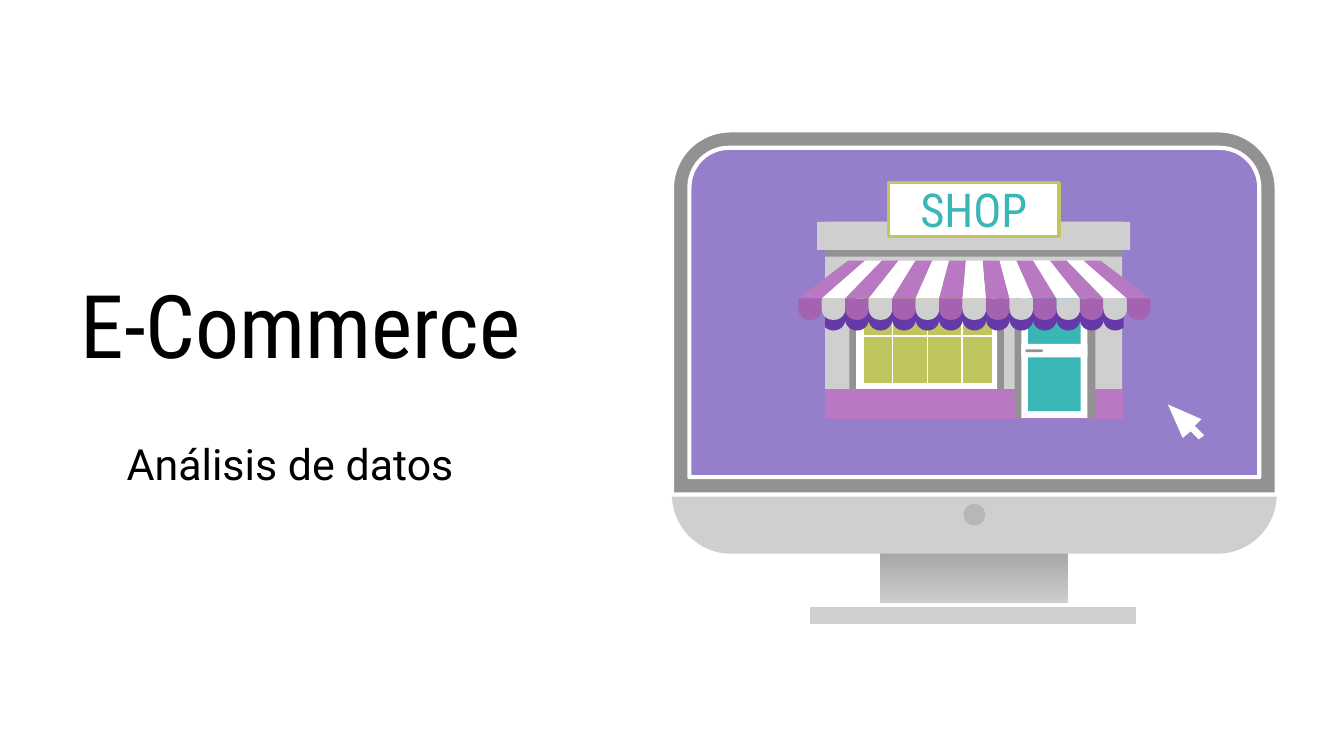
import math

import pptx
import pptx.dml.color
import pptx.enum.shapes
import pptx.enum.text
import pptx.util
from lxml import etree
from pptx.util import Inches

SHAPES = pptx.enum.shapes.MSO_SHAPE
ALIGN = pptx.enum.text.PP_ALIGN
GREY, DARK_GREY, WHITE = "CFCFCF", "929292", "FFFFFF"
PURPLE, ORCHID, PLUM, VIOLET = "957FCA", "B878C2", "A562B0", "6639A8"
OLIVE, TEAL = "C0C55F", "39B6B5"


def color(value):
    return pptx.dml.color.RGBColor.from_string(value)


def paint(shape, fill, line=None, line_width=2.25):
    shape.shadow.inherit = False
    shape.fill.solid()
    shape.fill.fore_color.rgb = color(fill)
    if line:
        shape.line.color.rgb = color(line)
        shape.line.width = pptx.util.Pt(line_width)
    else:
        shape.line.fill.background()


def add_block(slide, box, fill, kind=SHAPES.RECTANGLE, corners=(), **line):
    shape = slide.shapes.add_shape(kind, *map(Inches, box))
    for index, corner in enumerate(corners):
        shape.adjustments[index] = corner
    paint(shape, fill, **line)
    return shape


def add_polygon(slide, points, fill):
    corners = [(Inches(x), Inches(y)) for x, y in points]
    builder = slide.shapes.build_freeform(*corners[0])
    builder.add_line_segments(corners[1:], close=True)
    paint(builder.convert_to_shape(), fill)


def add_line(slide, x1, y1, x2, y2):
    line = slide.shapes.add_connector(
        pptx.enum.shapes.MSO_CONNECTOR.STRAIGHT, *map(Inches, (x1, y1, x2, y2)))
    line.line.color.rgb = color(WHITE)
    line.line.width = pptx.util.Pt(0.85)
    etree.SubElement(line._element.spPr, pptx.oxml.ns.qn("a:effectLst"))


def set_text(shape, box, text, size, font, fill, align):
    shape.left, shape.top, shape.width, shape.height = map(Inches, box)
    frame = shape.text_frame
    frame.word_wrap = True
    frame.auto_size = pptx.enum.text.MSO_AUTO_SIZE.NONE
    frame.vertical_anchor = pptx.enum.text.MSO_ANCHOR.MIDDLE
    frame.margin_left = frame.margin_right = Inches(0.1)
    frame.margin_top = frame.margin_bottom = Inches(0.1)
    frame.text = text
    paragraph = frame.paragraphs[0]
    paragraph.alignment = align
    paragraph.font.size = pptx.util.Pt(size)
    paragraph.font.name = font
    paragraph.font.color.rgb = color(fill)


def add_label(slide, box, *style):
    set_text(slide.shapes.add_textbox(*map(Inches, box)), box, *style)


def add_monitor(slide):
    # Stand and foot
    stand = add_block(slide, (6.55, 3.91, 1.4, 0.73), GREY)
    stand.fill.gradient()
    stand.fill.gradient_angle = 270
    for stop, value in zip(stand.fill.gradient_stops, ("919191", "DDDDDD")):
        stop.color.rgb = color(value)
    add_block(slide, (6.01, 4.5, 2.46, 0.16), GREY, line=WHITE)
    # Body, bezel, screen and button
    add_block(slide, (5, 0.97, 4.5, 3.15), GREY, SHAPES.ROUNDED_RECTANGLE, (0.14,))
    add_block(slide, (5, 0.97, 4.5, 2.71), DARK_GREY,
              SHAPES.ROUND_2_SAME_RECTANGLE, (0.16, 0), line=WHITE)
    add_block(slide, (5.13, 1.1, 4.24, 2.45), PURPLE,
              SHAPES.ROUND_2_SAME_RECTANGLE, (0.12, 0), line=WHITE)
    add_block(slide, (7.17, 3.75, 0.16, 0.16), "B7B7B7", SHAPES.OVAL)


def add_front(slide):
    # Wall and window
    add_block(slide, (6.14, 1.65, 2.21, 1.46), GREY)
    add_block(slide, (6.32, 2.06, 1.15, 0.89), DARK_GREY)
    add_block(slide, (6.37, 2.11, 1.05, 0.79), WHITE)
    add_block(slide, (6.43, 2.16, 0.95, 0.69), OLIVE)
    add_line(slide, 6.39, 2.5, 7.41, 2.5)
    for x in (6.64, 6.9, 7.16):
        add_line(slide, x, 2.08, x, 2.88)
    # Base and door
    add_block(slide, (6.14, 2.9, 2.21, 0.21), ORCHID, line=ORCHID, line_width=0.75)
    add_block(slide, (7.55, 1.96, 0.6, 1.15), DARK_GREY)
    add_block(slide, (7.6, 1.94, 0.49, 1.17), WHITE)
    add_block(slide, (7.65, 1.99, 0.39, 1.07), TEAL)
    add_awning_shade(slide)
    add_block(slide, (7.6, 2.56, 0.49, 0.1), WHITE)
    add_block(slide, (7.63, 2.6, 0.13, 0.02), DARK_GREY,
              SHAPES.ROUNDED_RECTANGLE, (0.5,))
    # Cornice
    add_block(slide, (6.14, 1.72, 2.21, 0.19), DARK_GREY)
    add_block(slide, (6.08, 1.65, 2.33, 0.21), GREY)


def add_awning_shade(slide, left=6.14, right=8.36, count=13):
    pitch = 2.62 / 15
    points = [(right, 2.3), (left, 2.3)]
    for index in range(count):
        center = 7.25 + (index - (count - 1) / 2) * pitch
        for degrees in range(180, -1, -15):
            angle = math.radians(degrees)
            x = center + pitch / 2 * math.cos(angle)
            points.append((min(max(x, left), right), 2.38 + 0.08 * math.sin(angle)))
    add_polygon(slide, points, VIOLET)


def add_awning(slide, count=15):
    top_pitch, bottom_pitch = 1.88 / count, 2.62 / count
    for index in range(count):
        top, bottom = 6.31 + index * top_pitch, 5.94 + index * bottom_pitch
        stripe, scallop = (WHITE, GREY) if index % 2 else (ORCHID, PLUM)
        add_polygon(slide, [(top, 1.94), (bottom, 2.22), (bottom + bottom_pitch, 2.22),
                            (top + top_pitch, 1.94)], stripe)
        add_block(slide, (bottom, 2.22, bottom_pitch, 0.16), scallop,
                  SHAPES.ROUND_2_SAME_RECTANGLE, (0, 0.5))


def main():
    presentation = pptx.Presentation()
    presentation.slide_width = Inches(10)
    presentation.slide_height = Inches(10 * 9 / 16)
    slide = presentation.slides.add_slide(presentation.slide_layouts[5])

    # Title and subtitle
    set_text(slide.shapes.title, (0.5, 1.58, 3.79, 1.65), "E-Commerce",
             47, "Roboto Condensed", "000000", ALIGN.LEFT)
    add_label(slide, (0.55, 3.12, 3.22, 0.66), "Análisis de datos",
              23, "Roboto", "000000", ALIGN.CENTER)

    # Shop on a monitor
    add_monitor(slide)
    add_front(slide)
    add_awning(slide)

    # Sign and mouse pointer
    add_block(slide, (6.61, 1.36, 1.27, 0.4), WHITE, line=OLIVE, line_width=1.8)
    add_polygon(slide, [(8.69, 3.01), (8.8, 3.26), (8.86, 3.21), (8.92, 3.27),
                        (8.96, 3.24), (8.89, 3.17), (8.94, 3.12)], WHITE)
    add_label(slide, (6.6, 1.36, 1.29, 0.39), "SHOP",
              25, "Roboto Condensed", TEAL, ALIGN.CENTER)
    presentation.save("out.pptx")


if __name__ == "__main__":
    main()
